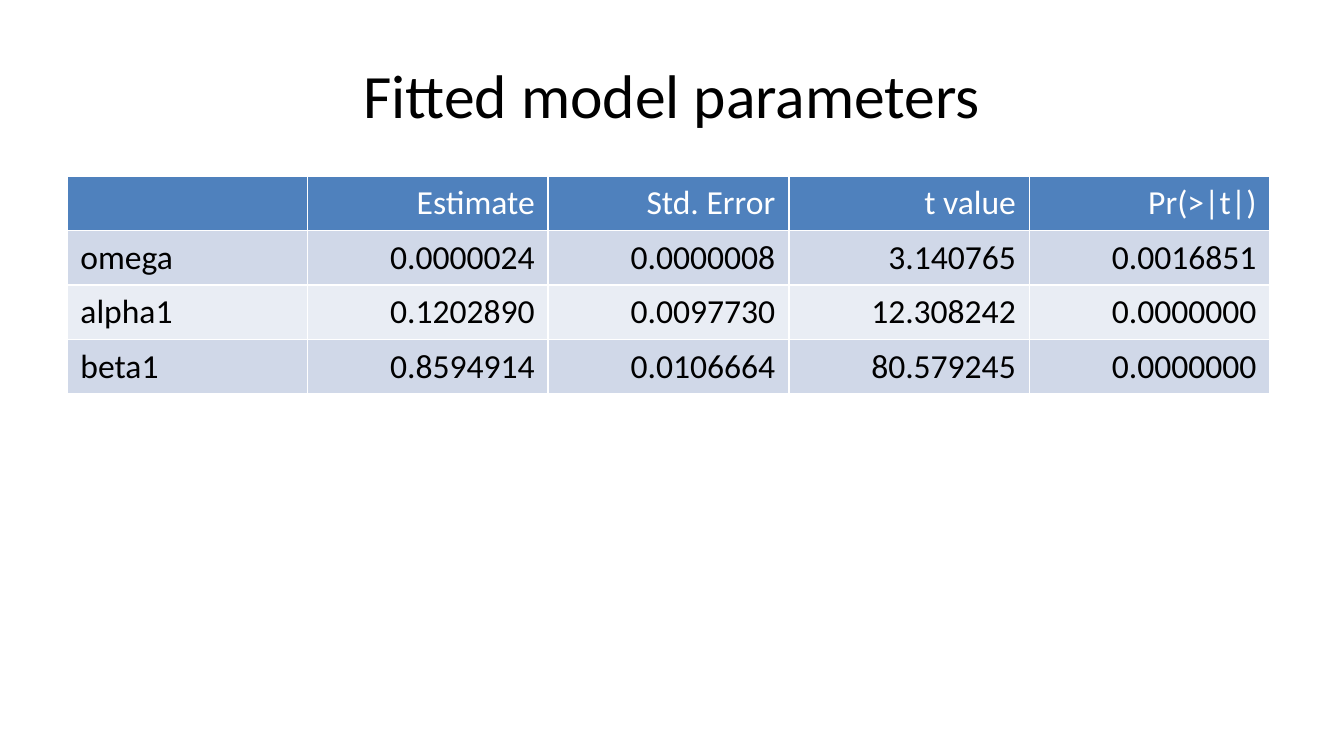
import pptx
import pptx.util
import pptx.dml.color
import pptx.enum.text

PX = 914400 / 134.4
COLORS = {"header": "4F81BD", "band": "D0D8E8", "plain": "E9EDF4",
          "white": "FFFFFF", "black": "000000"}
ROWS = [
    ["", "Estimate", "Std. Error", "t value", "Pr(>|t|)"],
    ["omega", "0.0000024", "0.0000008", "3.140765", "0.0016851"],
    ["alpha1", "0.1202890", "0.0097730", "12.308242", "0.0000000"],
    ["beta1", "0.8594914", "0.0106664", "80.579245", "0.0000000"],
]
ALIGN = pptx.enum.text.PP_ALIGN


def px(*values):
    return [round(v * PX) for v in values]


def format_text(p, size, color, align):
    p.alignment = align
    for r in p.runs:
        r.font.name = "Calibri"
        r.font.size = pptx.util.Pt(size)
        r.font.bold = False
        r.font.color.rgb = pptx.dml.color.RGBColor.from_string(COLORS[color])


prs = pptx.Presentation()
prs.slide_width, prs.slide_height = px(1344, 756)
s = prs.slides.add_slide(prs.slide_layouts[5])

title = s.shapes.title
title.left, title.top, title.width, title.height = px(67, 31, 1210, 126)
tf = title.text_frame
tf.text = "Fitted model parameters"
tf.vertical_anchor = pptx.enum.text.MSO_ANCHOR.MIDDLE
format_text(tf.paragraphs[0], 33, "black", ALIGN.CENTER)

table = s.shapes.add_table(len(ROWS), len(ROWS[0]), *px(67, 176, 1203, 216)).table
for i, row in enumerate(ROWS):
    fill = "header" if i == 0 else "band" if i % 2 else "plain"
    for j, value in enumerate(row):
        cell = table.cell(i, j)
        cell.fill.solid()
        cell.fill.fore_color.rgb = pptx.dml.color.RGBColor.from_string(COLORS[fill])
        cell.text = value
        format_text(cell.text_frame.paragraphs[0], 18,
                    "black" if i else "white", ALIGN.RIGHT if j else ALIGN.LEFT)

prs.save("out.pptx")
